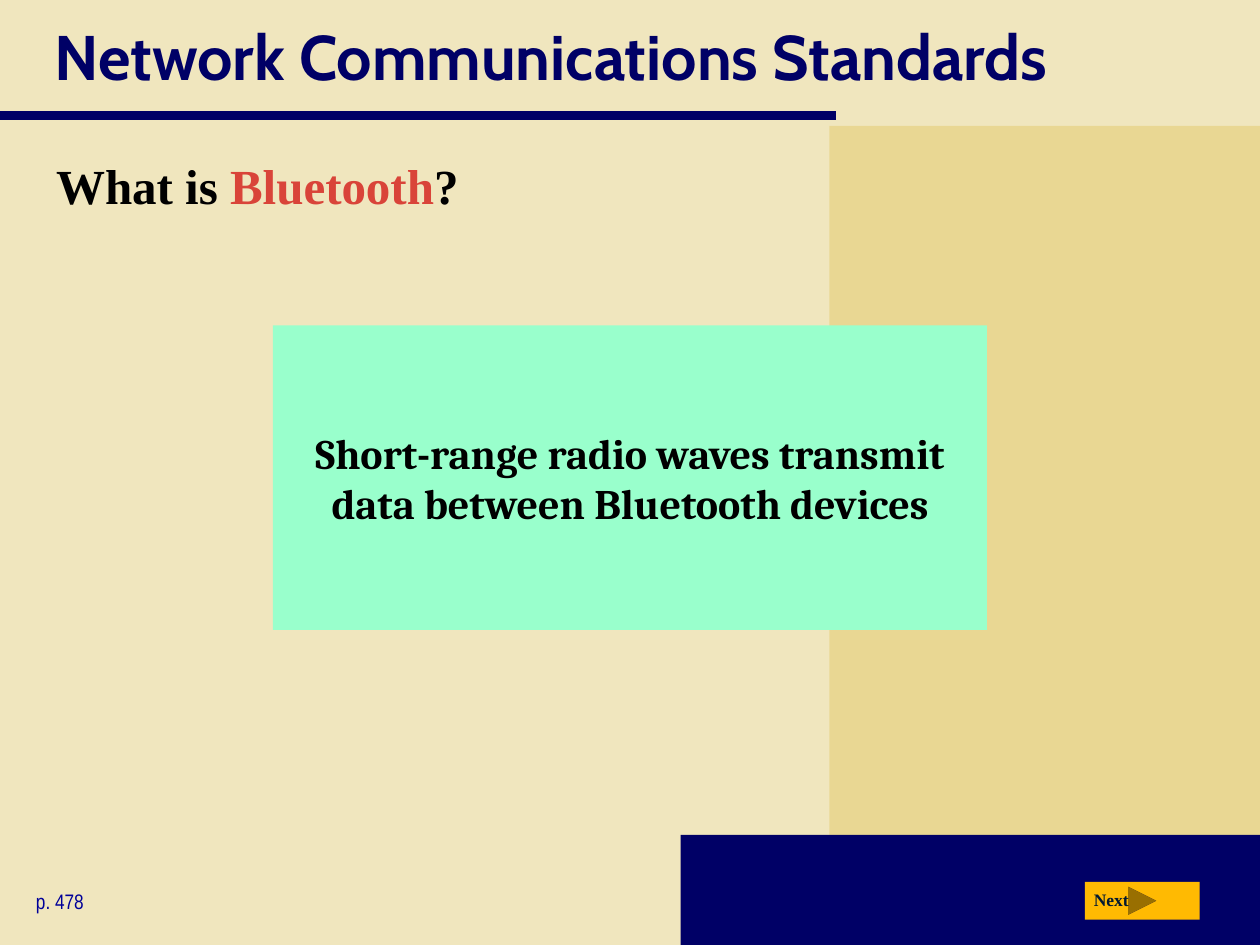
from pptx import Presentation
from pptx.dml.color import RGBColor
from pptx.enum.shapes import MSO_CONNECTOR, MSO_SHAPE
from pptx.enum.text import MSO_ANCHOR, PP_ALIGN
from pptx.oxml.ns import qn
from pptx.util import Pt
from lxml.etree import SubElement

WIDTH, HEIGHT = 720, 540
NAVY, BLACK = "000066", "000000"


def color(value):
    return RGBColor.from_string(value)


def add_block(page, box, fill, kind=MSO_SHAPE.RECTANGLE):
    block = page.shapes.add_shape(kind, *map(Pt, box))
    block.fill.solid()
    block.fill.fore_color.rgb = color(fill)
    block.line.fill.background()
    block.shadow.inherit = False
    return block


def set_font(para, name, size, tint, bold=False):
    para.font.name = name
    para.font.size = Pt(size)
    para.font.bold = bold
    para.font.color.rgb = color(tint)


def add_text(page, box, text, name, size, tint, bold=False, anchor=MSO_ANCHOR.TOP):
    frame = page.shapes.add_textbox(*map(Pt, box)).text_frame
    frame.word_wrap = True
    frame.vertical_anchor = anchor
    para = frame.paragraphs[0]
    para.text = text
    set_font(para, name, size, tint, bold)
    return para


def add_backdrop(page, box):
    left, top, width, height = box
    right, bottom = left + width, top + height
    page.background.fill.solid()
    page.background.fill.fore_color.rgb = color("F0E6BE")

    # Side panel and footer band
    add_block(page, (right - 246, top + 72, 246, height - 72), "E9D793")
    add_block(page, (right - 331, bottom - 63, 331, 63), NAVY)

    # Rule under the title
    rule = page.shapes.add_connector(
        MSO_CONNECTOR.STRAIGHT, Pt(left), Pt(top + 66), Pt(left + 478), Pt(top + 66))
    rule.line.color.rgb = color(NAVY)
    rule.line.width = Pt(5)
    SubElement(rule._element.spPr, qn("a:effectLst"))


def add_question(page, box):
    para = add_text(page, box, "", "Times New Roman", 28, BLACK, True)
    for text, tint in (("What is ", BLACK), ("Bluetooth", "D94439"), ("?", BLACK)):
        span = para.add_run()
        span.text = text
        span.font.color.rgb = color(tint)


def add_answer(page, box):
    frame = add_block(page, box, "99FFCC").text_frame
    frame.word_wrap = False
    frame.vertical_anchor = MSO_ANCHOR.MIDDLE
    para = frame.paragraphs[0]
    para.text = "Short-range radio waves transmit\ndata between Bluetooth devices"
    para.alignment = PP_ALIGN.CENTER
    set_font(para, "Cambria", 24, BLACK, True)


def add_next_button(page, box):
    left, top, width, height = box
    add_block(page, box, "FFBA02", MSO_SHAPE.ACTION_BUTTON_FORWARD_OR_NEXT)
    add_text(page, (left - 2, top + 0.5, 37, 19.5), "Next",
             "Times New Roman", 10, "001932", True)


def main():
    deck = Presentation()
    deck.slide_width, deck.slide_height = Pt(WIDTH), Pt(HEIGHT)
    page = deck.slides.add_slide(deck.slide_layouts[6])

    add_backdrop(page, (0, 0, WIDTH, HEIGHT))
    add_text(page, (24, 0, 676, 63.5), "Network Communications Standards",
             "Cabin", 36, NAVY, True, MSO_ANCHOR.MIDDLE)
    add_question(page, (25, 85.5, 676, 52))
    add_next_button(page, (620, 504, 65.5, 21.5))
    add_text(page, (13.5, 504, 122, 21.5), "p. 478", "Arial Narrow", 12, "000099")
    add_answer(page, (156, 186, 408, 174))

    deck.save("out.pptx")


if __name__ == "__main__":
    main()
